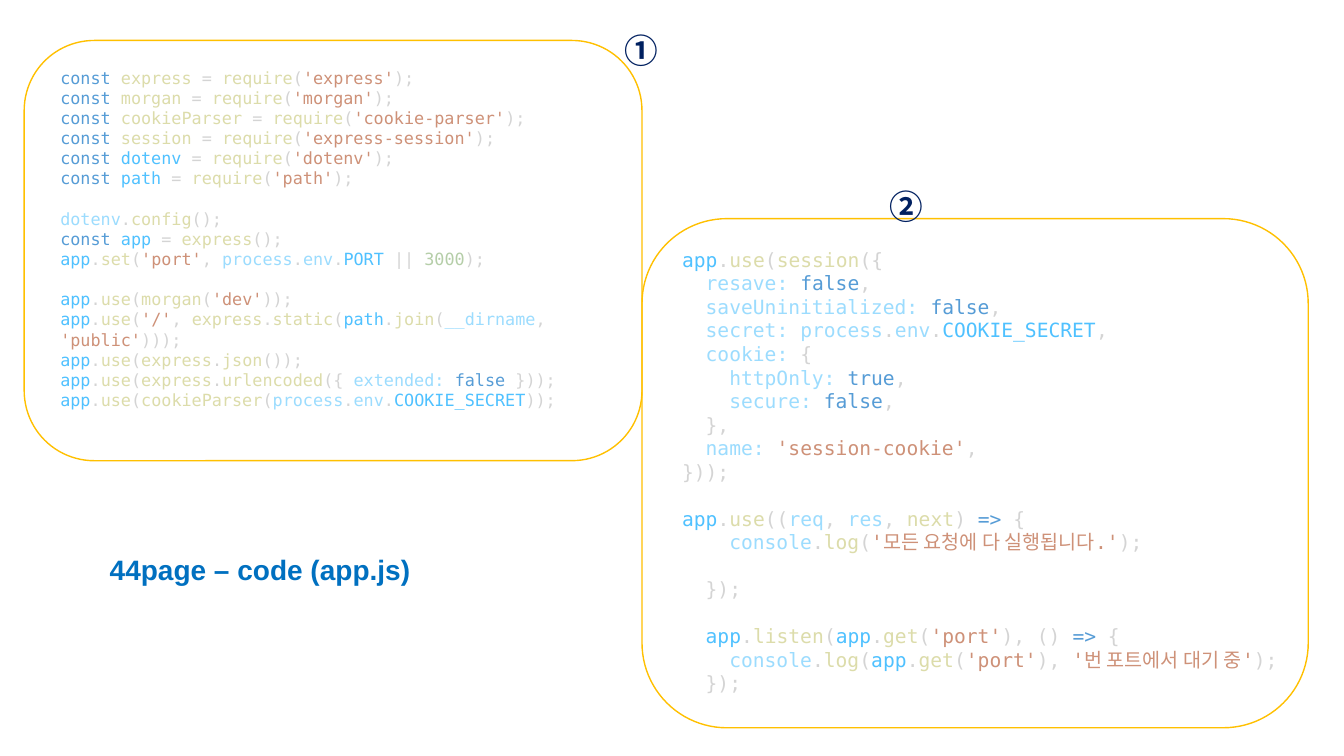
from itertools import groupby

from pptx import Presentation
from pptx.dml.color import RGBColor
from pptx.enum.shapes import MSO_SHAPE
from pptx.enum.text import MSO_ANCHOR, PP_ALIGN
from pptx.oxml.ns import qn
from pptx.util import Cm, Pt

ROUNDED = MSO_SHAPE.ROUNDED_RECTANGLE
TOP = MSO_ANCHOR.TOP
LEFT = PP_ALIGN.LEFT

CODE_FONT = "DejaVu Sans Mono"
KOREAN_FONT = "Noto Sans CJK KR"
KEYWORD, CONSTANT, PROPERTY = "569CD6", "4FC1FF", "9CDCFE"
FUNCTION, STRING, NUMBER, PUNCTUATION = "DCDCAA", "CE9178", "B5CEA8", "D4D4D4"

WORD_GROUPS = {
    KEYWORD: ["const", "false", "true", "=>"],
    CONSTANT: ["app", "path", "const dotenv", "PORT", "COOKIE_SECRET"],
    PROPERTY: ["dotenv", "process", "env", "__dirname", "req", "res", "console"],
    NUMBER: ["3000"],
    PUNCTUATION: ["="],
}
WORD_COLORS = {word: color for color, words in WORD_GROUPS.items() for word in words}

SETUP_CODE = """\
const express = require('express');
const morgan = require('morgan');
const cookieParser = require('cookie-parser');
const session = require('express-session');
const dotenv = require('dotenv');
const path = require('path');

dotenv.config();
const app = express();
app.set('port', process.env.PORT || 3000);

app.use(morgan('dev'));
app.use('/', express.static(path.join(__dirname, 'public')));
app.use(express.json());
app.use(express.urlencoded({ extended: false }));
app.use(cookieParser(process.env.COOKIE_SECRET));"""

SESSION_CODE = """\
app.use(session({
  resave: false,
  saveUninitialized: false,
  secret: process.env.COOKIE_SECRET,
  cookie: {
    httpOnly: true,
    secure: false,
  },
  name: 'session-cookie',
}));

app.use((req, res, next) => {
    console.log('모든 요청에 다 실행됩니다.');

  });

  app.listen(app.get('port'), () => {
    console.log(app.get('port'), '번 포트에서 대기 중');
  });"""

# code, font size, text position, frame position, marker, marker corner
PANELS = [
    (SETUP_CODE, 12, (1.27, 1.57, 15.65, 8.46), (0.61, 1.02, 15.57, 10.59), "①", (15.49, 0.64)),
    (SESSION_CODE, 14, (16.94, 6.12, 16.05, 12.22), (16.18, 5.51, 16.79, 12.83), "②", (22.17, 4.55)),
]


def add_span(para, text, color, **formats):
    span = para.add_run()
    span.text = text
    for name, value in formats.items():
        setattr(span.font, name, value)
    span.font.color.rgb = RGBColor.from_string(color)
    east_asian = span.font._element.makeelement(qn("a:ea"), {"typeface": KOREAN_FONT})
    span.font._element.find(qn("a:latin")).addnext(east_asian)


def split_code(line):
    """Return the (text, color) pieces of one line of code."""
    pieces, previous = [], ""
    for index, part in enumerate(line.split("'")):
        if index % 2:
            pieces.append((f"'{part}'", STRING))
            continue
        kinds = groupby(part, lambda c: "word" if c.isalnum() or c in "_:" else c in "=>")
        for kind, letters in kinds:
            text = "".join(letters)
            if not kind:
                pieces.append((text, PUNCTUATION))
                continue
            default = PROPERTY if text.endswith(":") else FUNCTION
            color = WORD_COLORS.get(f"{previous} {text}", WORD_COLORS.get(text, default))
            pieces.append((text, color))
            previous = text
    return pieces


deck = Presentation()
deck.slide_width, deck.slide_height = Cm(33.87), Cm(19.05)
page = deck.slides.add_slide(deck.slide_layouts[5])

title = page.shapes.title
title.left, title.top, title.width, title.height = Cm(2.51), Cm(13.79), Cm(8.15), Cm(1.96)
title.text_frame.word_wrap = False
title.text_frame.vertical_anchor = TOP
title_para = title.text_frame.paragraphs[0]
title_para.alignment = LEFT
add_span(title_para, "44page – code (app.js)", "0070C0", name="Arial", size=Pt(20), bold=True)

for code, size, text_place, frame_place, marker, marker_corner in PANELS:
    code_box = page.shapes.add_textbox(*map(Cm, text_place))
    code_box.text_frame.word_wrap = True
    line_height = Pt(size * 1.2)
    para, gap = code_box.text_frame.paragraphs[0], 0
    for line in code.split("\n"):
        if not line:
            gap = line_height
            continue
        if para.runs:
            para = code_box.text_frame.add_paragraph()
        para.line_spacing = line_height
        para.space_before = gap
        gap = 0
        statement = line.lstrip()
        indent = Pt(size * 0.602 * (len(line) - len(statement)))
        para._p.get_or_add_pPr().set("marL", str(indent))
        for text, color in split_code(statement):
            add_span(para, text, color, name=CODE_FONT, size=Pt(size))

    frame = page.shapes.add_shape(ROUNDED, *map(Cm, frame_place))
    frame.shadow.inherit = False
    frame.fill.background()
    frame.line.color.rgb = RGBColor.from_string("FFC000")
    frame.line.width = Pt(1)

    marker_box = page.shapes.add_textbox(*map(Cm, marker_corner), Cm(1.37), Cm(1.27))
    marker_box.text_frame.word_wrap = False
    add_span(marker_box.text_frame.paragraphs[0], marker, "002060",
             name=KOREAN_FONT, size=Pt(24), bold=True)

deck.save("out.pptx")
